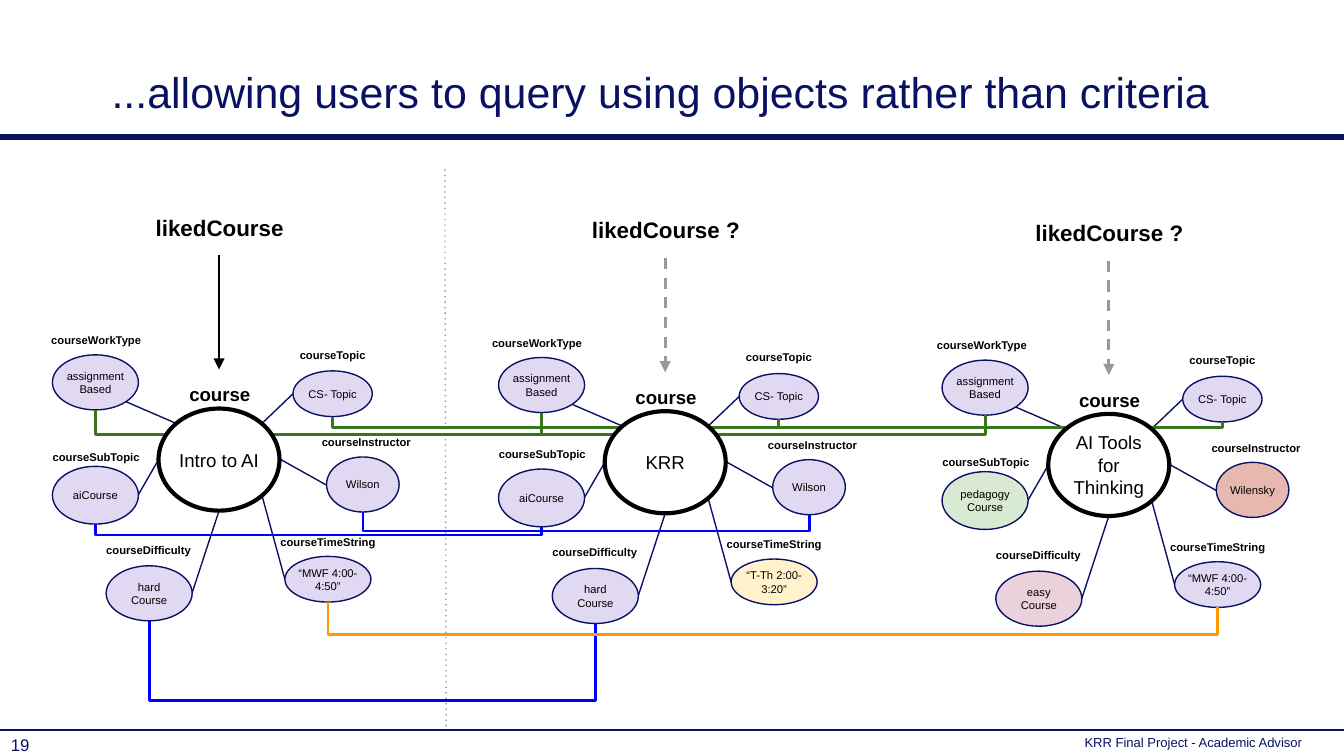
from lxml import etree
from pptx import Presentation
from pptx.dml.color import RGBColor
from pptx.enum.shapes import MSO_CONNECTOR, MSO_SHAPE
from pptx.enum.text import MSO_ANCHOR, MSO_AUTO_SIZE, PP_ALIGN
from pptx.oxml.ns import qn
from pptx.util import Inches, Pt

STRAIGHT, ELBOW = MSO_CONNECTOR.STRAIGHT, MSO_CONNECTOR.ELBOW
OVAL = MSO_SHAPE.OVAL
TOP, MIDDLE, BOTTOM = MSO_ANCHOR.TOP, MSO_ANCHOR.MIDDLE, MSO_ANCHOR.BOTTOM
LEFT, CENTER = PP_ALIGN.LEFT, PP_ALIGN.CENTER
NO_FIT = MSO_AUTO_SIZE.NONE

COLORS = {
    "navy": "091163", "black": "000000", "white": "FFFFFF", "gray": "999999",
    "lilac": "E0D9F1", "cream": "FFF2CC", "rust": "E6B8AF", "mint": "D9EAD3",
    "pink": "EAD1DC", "blue": "0000FF", "orange": "FF9900", "green": "38761D",
}
TITLE = "...allowing users to query using objects rather than criteria"
FOOTER = "KRR Final Project - Academic Advisor"
PAGE = "19"

# label: label box, oval box, spoke ends, all placed for the first course
ATTRIBUTES = {
    "courseTimeString": ((1.74, 3.88, 1.4, 0.41), (2.12, 4.14, 0.64, 0.34), (1.95, 3.69, 2.12, 4.31)),
    "courseInstructor": ((2.07, 3.14, 1.31, 0.41), (2.43, 3.4, 0.54, 0.41), (2.09, 3.42, 2.43, 3.61)),
    "courseTopic": ((1.82, 2.49, 1.31, 0.41), (2.18, 2.76, 0.59, 0.34), (1.95, 3.15, 2.18, 2.93)),
    "courseWorkType": ((-0.01, 2.38, 1.45, 0.41), (0.39, 2.64, 0.64, 0.41), (1.31, 3.15, 0.94, 2.99)),
    "courseSubTopic": ((0.06, 3.25, 1.31, 0.41), (0.39, 3.47, 0.64, 0.43), (1.18, 3.42, 1.03, 3.68)),
    "courseDifficulty": ((0.45, 3.94, 1.31, 0.41), (0.79, 4.21, 0.64, 0.41), (1.63, 3.8, 1.43, 4.41)),
}
COURSES = [
    {"name": "Intro to AI", "liked": "likedCourse", "shift": (0, 0),
     "arrow": ("black", None), "nudge": {},
     "values": [("“MWF 4:00-4:50”", "lilac"), ("Wilson", "lilac"), ("CS- Topic", "lilac"),
                ("assignment\nBased", "lilac"), ("aiCourse", "lilac"), ("hard Course", "lilac")]},
    {"name": "KRR", "liked": "likedCourse ?", "shift": (3.32, 0.02),
     "arrow": ("gray", "dash"), "nudge": {"courseSubTopic": (0, -0.04), "courseWorkType": (-0.04, 0)},
     "values": [("“T-Th 2:00-3:20”", "cream"), ("Wilson", "lilac"), ("CS- Topic", "lilac"),
                ("assignment\nBased", "lilac"), ("aiCourse", "lilac"), ("hard Course", "lilac")]},
    {"name": "AI Tools for Thinking", "liked": "likedCourse ?", "shift": (6.62, 0.04),
     "arrow": ("gray", "dash"), "nudge": {"courseWorkType": (-0.03, 0)},
     "values": [("“MWF 4:00-4:50”", "lilac"), ("Wilensky", "rust"), ("CS- Topic", "lilac"),
                ("assignment\nBased", "lilac"), ("pedagogy Course", "mint"), ("easy Course", "pink")]},
]
# attribute, course reached from the first one, rail height, colour
MATCHES = [
    ("courseDifficulty", 1, 5.21, "blue"), ("courseTimeString", 2, 4.72, "orange"),
    ("courseSubTopic", 1, 3.98, "blue"), ("courseInstructor", 1, 3.95, "blue"),
    ("courseWorkType", 2, 3.23, "green"), ("courseTopic", 2, 3.18, "green"),
]
DROPS = [("courseWorkType", 3.23), ("courseTopic", 3.18)]


def rgb(name):
    return RGBColor.from_string(COLORS[name])


def inches(values):
    return [Inches(v) for v in values]


def moved(box, shift):
    """Shift a box by (dx, dy)."""
    return (box[0] + shift[0], box[1] + shift[1], *box[2:])


def write(sp, text, size, color="black", bold=False, align=CENTER, anchor=TOP,
          inset=(0.1, 0.1), wrap=True):
    tf = sp.text_frame
    x, y = inches(inset)
    frame = {"word_wrap": wrap, "auto_size": NO_FIT, "vertical_anchor": anchor,
             "margin_left": x, "margin_right": x, "margin_top": y, "margin_bottom": y}
    for key, value in frame.items():
        setattr(tf, key, value)
    p = tf.paragraphs[0]
    p.text, p.alignment = text, align
    for r in p.runs:
        for key, value in {"name": "Arial", "size": Pt(size), "bold": bold}.items():
            setattr(r.font, key, value)
        r.font.color.rgb = rgb(color)
    return p


def add_text(s, box, text, size, **style):
    return write(s.shapes.add_textbox(*inches(box)), text, size, **style)


def add_oval(s, box, text, size, fill, line, width):
    sp = s.shapes.add_shape(OVAL, *inches(box))
    sp.shadow.inherit = False
    sp.fill.solid()
    sp.fill.fore_color.rgb = rgb(fill)
    sp.line.color.rgb, sp.line.width = rgb(line), Pt(width)
    write(sp, text, size, anchor=MIDDLE, inset=(0, 0))


def add_line(s, ends, color, width, dash=None, arrow=False, kind=STRAIGHT):
    cn = s.shapes.add_connector(kind, *inches(ends))
    cn.line.color.rgb, cn.line.width = rgb(color), Pt(width)
    spPr = cn._element.spPr
    ln = spPr.find(qn("a:ln"))
    if dash:
        etree.SubElement(ln, qn("a:prstDash"), val=dash)
    if arrow:
        etree.SubElement(ln, qn("a:tailEnd"), type="triangle")
    etree.SubElement(spPr, qn("a:effectLst"))
    return cn


def add_rail(s, start, end, rail, color):
    """Join two points by an elbow connector that dips to the rail height."""
    (x1, y1), (x2, y2) = start, end
    w, h = y2 - y1, x2 - x1
    left, top = (x1 + x2 - w) / 2, (y1 + y2 - h) / 2
    cn = add_line(s, (left, top, left + w, top + h), color, 1.5, kind=ELBOW)
    spPr = cn._element.spPr
    xfrm = spPr.find(qn("a:xfrm"))
    xfrm.set("rot", "16200000")
    xfrm.set("flipH", "1")
    guides = spPr.find(qn("a:prstGeom")).find(qn("a:avLst"))
    depth = round((rail - y1) / w * 100000)
    etree.SubElement(guides, qn("a:gd"), name="adj1", fmla=f"val {depth}")


def foot(attribute, course):
    """Return the bottom centre of an attribute's oval."""
    x, y, w, h = moved(ATTRIBUTES[attribute][1], COURSES[course]["shift"])
    return x + w / 2, y + h


def add_course(s, course):
    dx, dy = shift = course["shift"]
    for (label, (box, oval, spoke)), (value, fill) in zip(ATTRIBUTES.items(), course["values"]):
        x1, y1, x2, y2 = spoke
        add_line(s, (x1 + dx, y1 + dy, x2 + dx, y2 + dy), "navy", 0.75)
        add_oval(s, moved(oval, shift), value, 6, fill, "navy", 0.75)
        box = moved(moved(box, shift), course["nudge"].get(label, (0, 0)))
        add_text(s, box, label, 6, bold=True)
    for top, text, size in [(2.75, "course", 10), (1.49, course["liked"], 12)]:
        add_text(s, moved((0.81, top, 1.65, 0.41), shift), text, size, bold=True)
    color, dash = course["arrow"]
    add_line(s, (1.63 + dx, 1.9 + dy, 1.63 + dx, 2.75 + dy), color, 1.5, dash, arrow=True)


def main():
    prs = Presentation()
    prs.slide_width = Inches(10)
    prs.slide_height = prs.slide_width * 9 // 16
    s = prs.slides.add_slide(prs.slide_layouts[5])
    title = s.shapes.title
    title.left, title.top, title.width, title.height = inches((0.74, 0.03, 9.26, 0.89))
    p = write(title, TITLE, 23, "navy", align=LEFT, anchor=BOTTOM, inset=(0.09, 0.04))
    p.line_spacing = 0.9
    for y, width in [(5.43, 1), (1.02, 3)]:
        add_line(s, (0, y, 10, y), "navy", width)
    for box, text, size, align in [((7.98, 5.45, 1.95, 0.14), FOOTER, 7, LEFT),
                                   ((-0.17, 5.45, 0.64, 0.18), PAGE, 9, CENTER)]:
        add_text(s, box, text, size, color="navy", align=align, anchor=MIDDLE,
                 inset=(0.09, 0.04), wrap=False)
    add_line(s, (3.31, 1.26, 3.32, 5.43), "gray", 0.75, "dot")
    for course in COURSES:
        add_course(s, course)
    for attribute, target, rail, color in MATCHES:
        add_rail(s, foot(attribute, 0), foot(attribute, target), rail, color)
    for attribute, rail in DROPS:
        x, y = foot(attribute, 1)
        add_line(s, (x, y, x, rail), "green", 1.5)
    for course in COURSES:
        add_oval(s, moved((1.18, 3.04, 0.9, 0.76), course["shift"]), course["name"], 10,
                 "white", "black", 2.25)
    prs.save("out.pptx")


if __name__ == "__main__":
    main()
